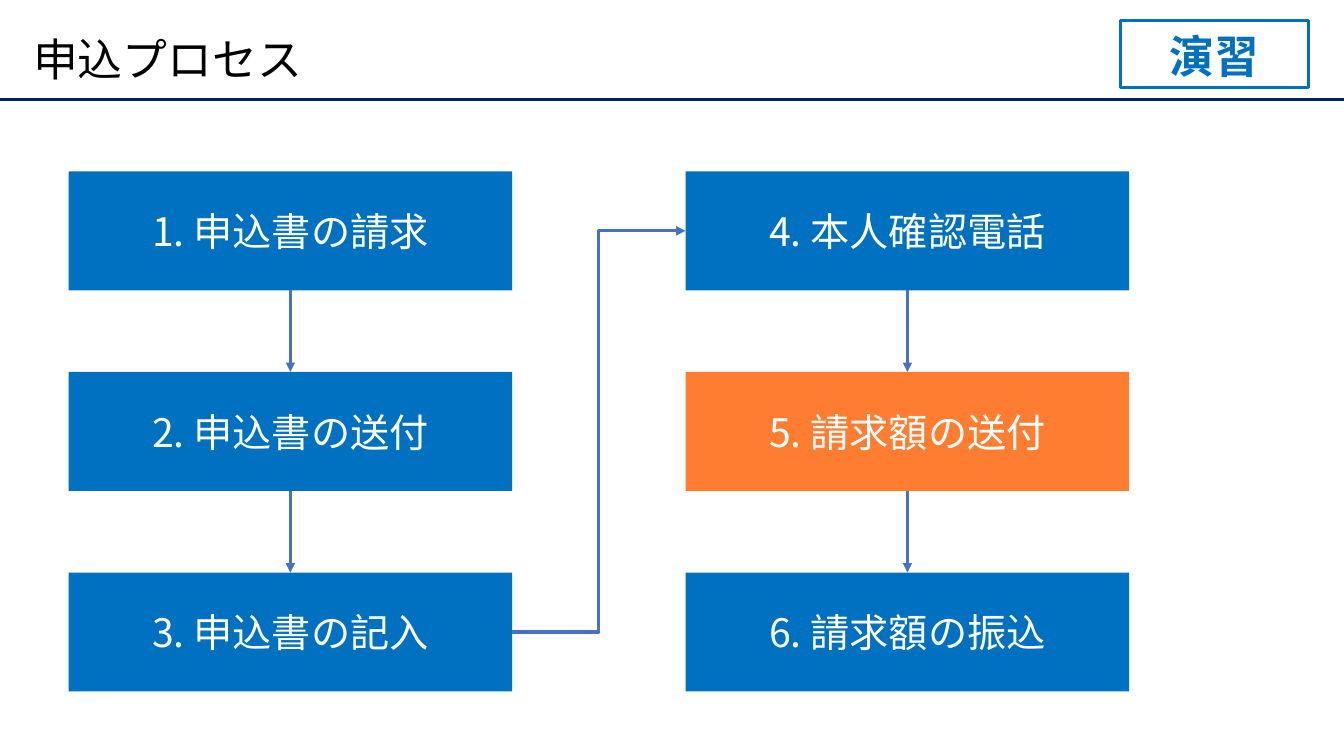
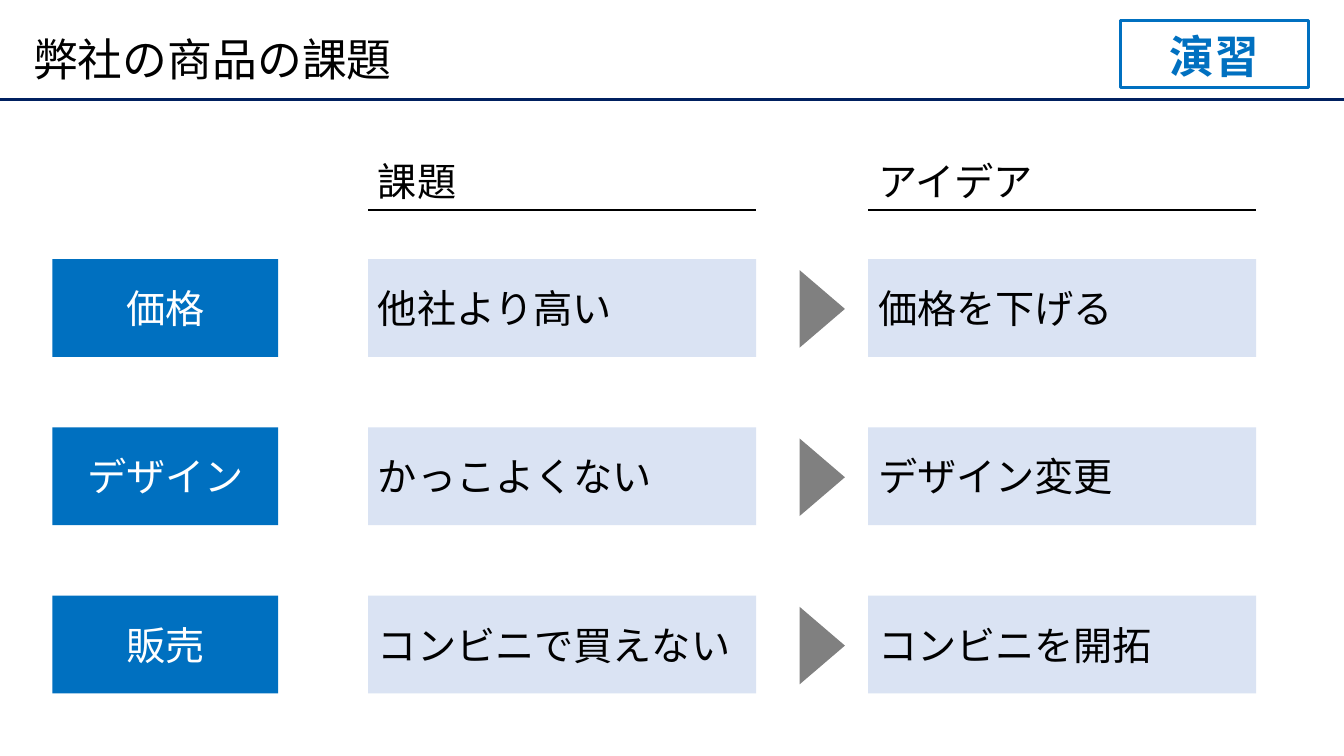
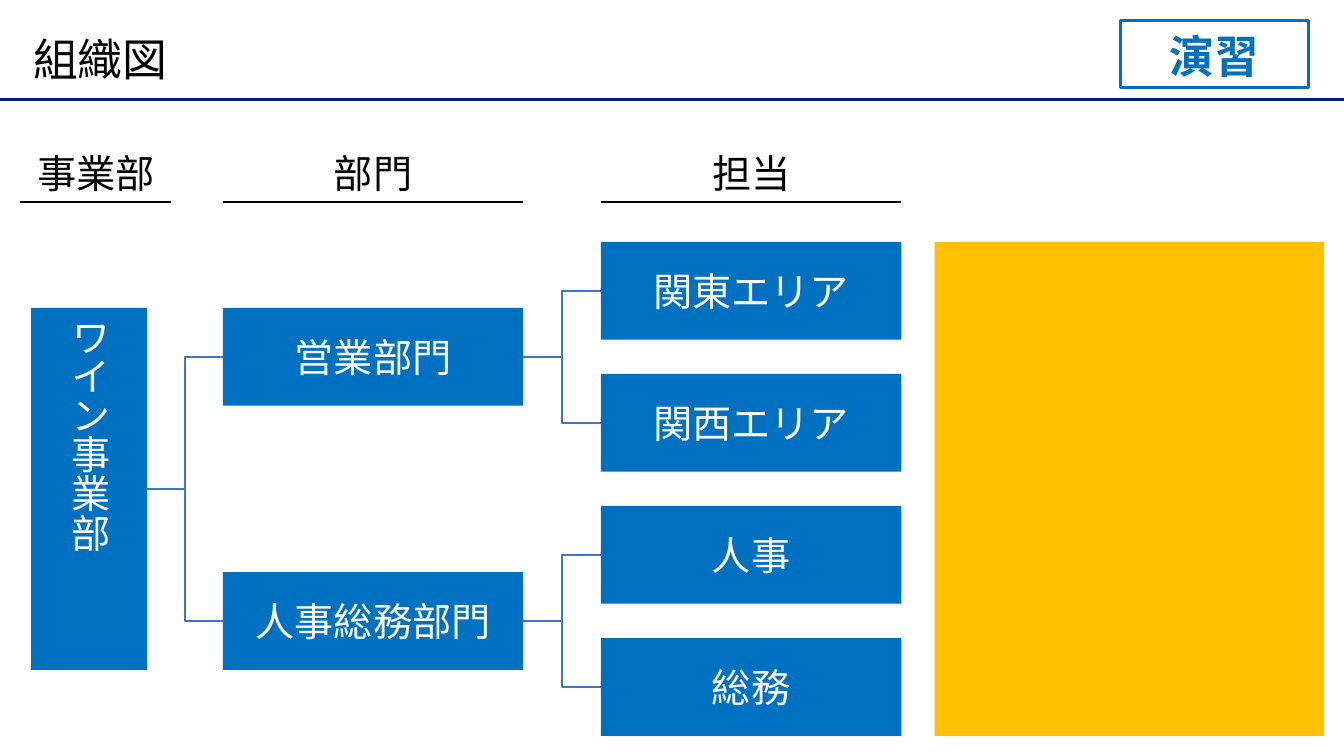
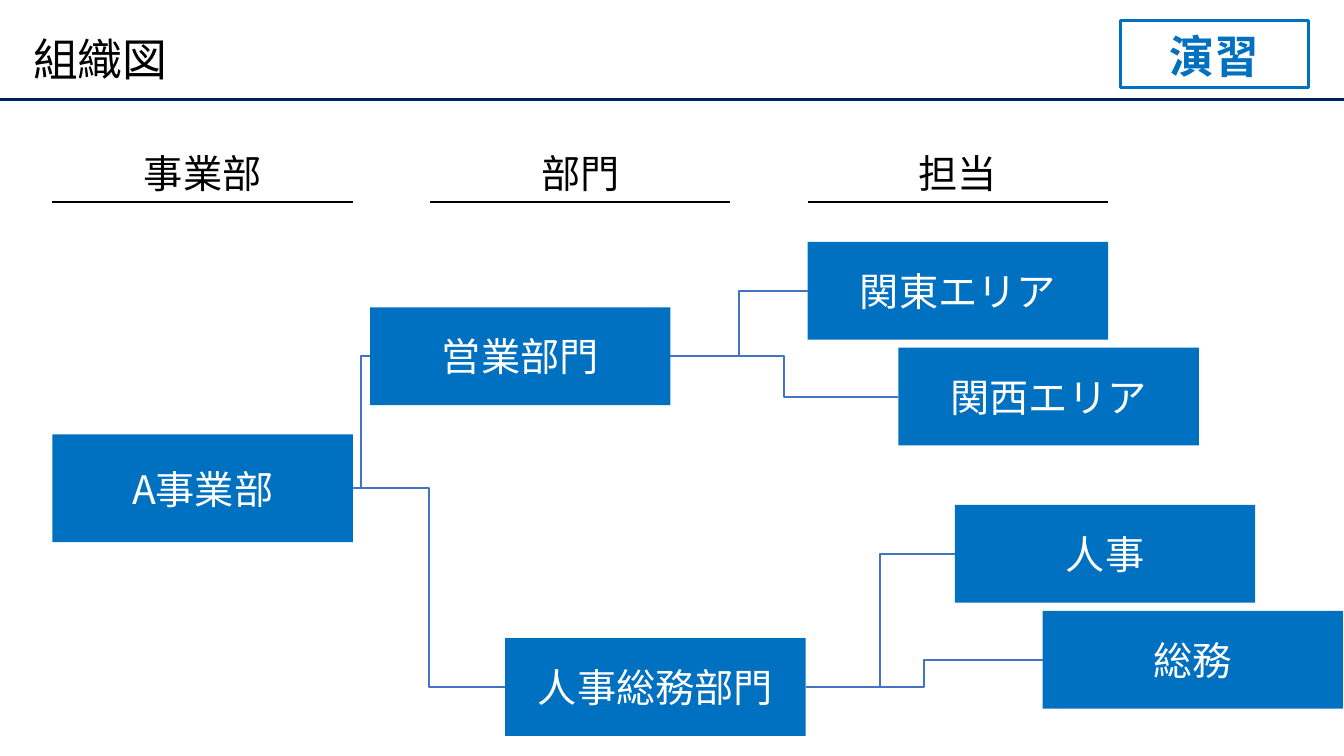
"""Build four exercise slides: a process, an issue list and two organization charts."""

import lxml.etree
import pptx
import pptx.dml.color
import pptx.enum.shapes
import pptx.enum.text
import pptx.oxml.ns
import pptx.util

Inches = pptx.util.Inches
Pt = pptx.util.Pt
Shape = pptx.enum.shapes.MSO_SHAPE
Connector = pptx.enum.shapes.MSO_CONNECTOR
Anchor = pptx.enum.text.MSO_ANCHOR
Align = pptx.enum.text.PP_ALIGN
qualified = pptx.oxml.ns.qn

FONT = "Noto Sans CJK JP"
COLORS = {
    "navy": "002060",
    "blue": "0070C0",
    "connector": "4472C4",
    "orange": "FF7D31",
    "amber": "FFC000",
    "pale": "DAE3F3",
    "gray": "808080",
    "black": "000000",
    "white": "FFFFFF",
}
TOP, BOTTOM, LEFT, RIGHT = 0, 2, 1, 3
BOX_WIDTH, BOX_HEIGHT = 2.98, 0.97


def rgb(color):
    return pptx.dml.color.RGBColor.from_string(COLORS[color])


def write(text_frame, text, size=28, color="black", bold=False, align=Align.LEFT,
          anchor=Anchor.MIDDLE, spacing=1.0, vertical=False):
    text_frame.word_wrap = True
    text_frame.vertical_anchor = anchor
    if vertical:
        text_frame._txBody.bodyPr.set("vert", "eaVert")
    paragraph = text_frame.paragraphs[0]
    paragraph.alignment = align
    paragraph.line_spacing = spacing
    run = paragraph.add_run()
    run.text = text
    run.font.size = Pt(size)
    run.font.bold = bold
    run.font.color.rgb = rgb(color)
    run.font.name = FONT
    east_asian = lxml.etree.SubElement(run._r.get_or_add_rPr(), qualified("a:ea"))
    east_asian.set("typeface", FONT)


class Deck:
    def __init__(self):
        self.presentation = pptx.Presentation()
        self.presentation.slide_width = Inches(13.33)
        self.presentation.slide_height = Inches(7.5)
        self.slide = None

    def add_slide(self, title):
        self.slide = self.presentation.slides.add_slide(self.presentation.slide_layouts[6])
        self.line(0, 0.99, 13.33, "navy", 2.25)
        self.text(title, 0.23, 0.2, 12.6, 0.84, size=32, spacing=0.9)
        badge = self.shape(11.11, 0.2, 1.87, 0.67)
        badge.line.color.rgb = rgb("blue")
        badge.line.width = Pt(2.25)
        write(badge.text_frame, "演習", size=32, color="blue", bold=True,
              align=Align.CENTER, anchor=Anchor.BOTTOM)

    def shape(self, left, top, width, height, fill=None, kind=Shape.RECTANGLE):
        shape = self.slide.shapes.add_shape(
            kind, Inches(left), Inches(top), Inches(width), Inches(height))
        shape.shadow.inherit = False
        shape.line.fill.background()
        if fill:
            shape.fill.solid()
            shape.fill.fore_color.rgb = rgb(fill)
        else:
            shape.fill.background()
        return shape

    def box(self, text, left, top, width=BOX_WIDTH, height=BOX_HEIGHT, fill="blue",
            color="white", align=Align.CENTER, **text_format):
        box = self.shape(left, top, width, height, fill)
        write(box.text_frame, text, color=color, align=align, **text_format)
        return box

    def text(self, text, left, top, width, height, **text_format):
        text_box = self.slide.shapes.add_textbox(
            Inches(left), Inches(top), Inches(width), Inches(height))
        write(text_box.text_frame, text, **text_format)
        return text_box

    def style_line(self, connector, color, width):
        connector.line.color.rgb = rgb(color)
        connector.line.width = Pt(width)
        lxml.etree.SubElement(connector._element.spPr, qualified("a:effectLst"))

    def line(self, left, top, length, color="black", width=1.5):
        line = self.slide.shapes.add_connector(
            Connector.STRAIGHT, Inches(left), Inches(top), Inches(left + length), Inches(top))
        self.style_line(line, color, width)

    def connect(self, start, start_side, end, end_side, kind=Connector.ELBOW,
                width=1.5, arrow=False):
        connector = self.slide.shapes.add_connector(kind, 0, 0, 0, 0)
        connector.begin_connect(start, start_side)
        connector.end_connect(end, end_side)
        self.style_line(connector, "connector", width)
        if arrow:
            tail = lxml.etree.SubElement(connector.line._get_or_add_ln(), qualified("a:tailEnd"))
            tail.set("type", "triangle")

    def heading(self, text, left, top, length, align=Align.CENTER):
        width, height = 1.79, 0.57
        self.line(left, top, length)
        text_left = left if align == Align.LEFT else left + (length - width) / 2
        label = self.text(text, text_left, top - height, width, height,
                          align=align, anchor=Anchor.TOP)
        label.text_frame.auto_size = pptx.enum.text.MSO_AUTO_SIZE.SHAPE_TO_FIT_TEXT

    def organization(self, headings, root, departments):
        for text, left, length in headings:
            self.heading(text, left, 2, length)
        root_box = self.box(**root)
        for text, left, top, teams in departments:
            department = self.box(text, left, top)
            self.connect(root_box, RIGHT, department, LEFT)
            for team in teams:
                self.connect(department, RIGHT, self.box(*team), LEFT)


def add_process(deck):
    deck.add_slide("申込プロセス")
    steps = ["申込書の請求", "申込書の送付", "申込書の記入",
             "本人確認電話", "請求額の送付", "請求額の振込"]
    boxes = []
    for index, step in enumerate(steps):
        column, row = divmod(index, 3)
        boxes.append(deck.box(
            f"{index + 1}. {step}", 0.68 + 6.12 * column, 1.7 + 1.99 * row, 4.4, 1.18,
            fill="orange" if step == "請求額の送付" else "blue"))
    for index, (start, end) in enumerate(zip(boxes, boxes[1:])):
        if index == 2:
            deck.connect(start, RIGHT, end, LEFT, width=2.25, arrow=True)
        else:
            deck.connect(start, BOTTOM, end, TOP, Connector.STRAIGHT, 2.25, True)


def add_issues(deck):
    deck.add_slide("弊社の商品の課題")
    issue_left, idea_left, width = 3.65, 8.61, 3.85
    deck.heading("課題", issue_left, 2.08, width, Align.LEFT)
    deck.heading("アイデア", idea_left, 2.08, width, Align.LEFT)
    rows = [
        ("価格", "他社より高い", "価格を下げる"),
        ("デザイン", "かっこよくない", "デザイン変更"),
        ("販売", "コンビニで買えない", "コンビニを開拓"),
    ]
    for index, (topic, issue, idea) in enumerate(rows):
        top = 2.57 + 1.67 * index
        deck.box(topic, 0.52, top, 2.24)
        for text, left in ((issue, issue_left), (idea, idea_left)):
            deck.box(text, left, top, width, fill="pale", color="black", align=Align.LEFT)
        triangle = deck.shape(7.77, top + 0.27, 0.77, 0.45, "gray", Shape.ISOSCELES_TRIANGLE)
        triangle.rotation = 90


def add_aligned_organization(deck):
    deck.add_slide("組織図")
    department_left, team_left = 2.21, 5.96
    first_top, step = 2.4, 1.31
    groups = [("営業部門", ["関東エリア", "関西エリア"]), ("人事総務部門", ["人事", "総務"])]
    departments = []
    for index, (name, teams) in enumerate(groups):
        top = first_top + 2 * step * index
        departments.append((name, department_left, top + step / 2, [
            (team, team_left, top + step * row) for row, team in enumerate(teams)]))
    deck.organization(
        [("事業部", 0.2, 1.5), ("部門", department_left, BOX_WIDTH),
         ("担当", team_left, BOX_WIDTH)],
        dict(text="ワイン事業部", left=0.31, top=first_top + step / 2, width=1.15,
             height=2 * step + BOX_HEIGHT, vertical=True),
        departments)
    deck.shape(9.27, first_top, 3.86, 3 * step + BOX_HEIGHT, "amber")


def add_scattered_organization(deck):
    deck.add_slide("組織図")
    deck.organization(
        [(text, 0.52 + 3.745 * column, BOX_WIDTH)
         for column, text in enumerate(["事業部", "部門", "担当"])],
        dict(text="A事業部", left=0.52, top=4.31, height=1.07),
        [
            ("営業部門", 3.67, 3.05, [("関東エリア", 8.01, 2.4), ("関西エリア", 8.91, 3.45)]),
            ("人事総務部門", 5.01, 6.33, [("人事", 9.47, 5.01), ("総務", 10.34, 6.06)]),
        ])


def main():
    deck = Deck()
    add_process(deck)
    add_issues(deck)
    add_aligned_organization(deck)
    add_scattered_organization(deck)
    deck.presentation.save("out.pptx")


if __name__ == "__main__":
    main()
